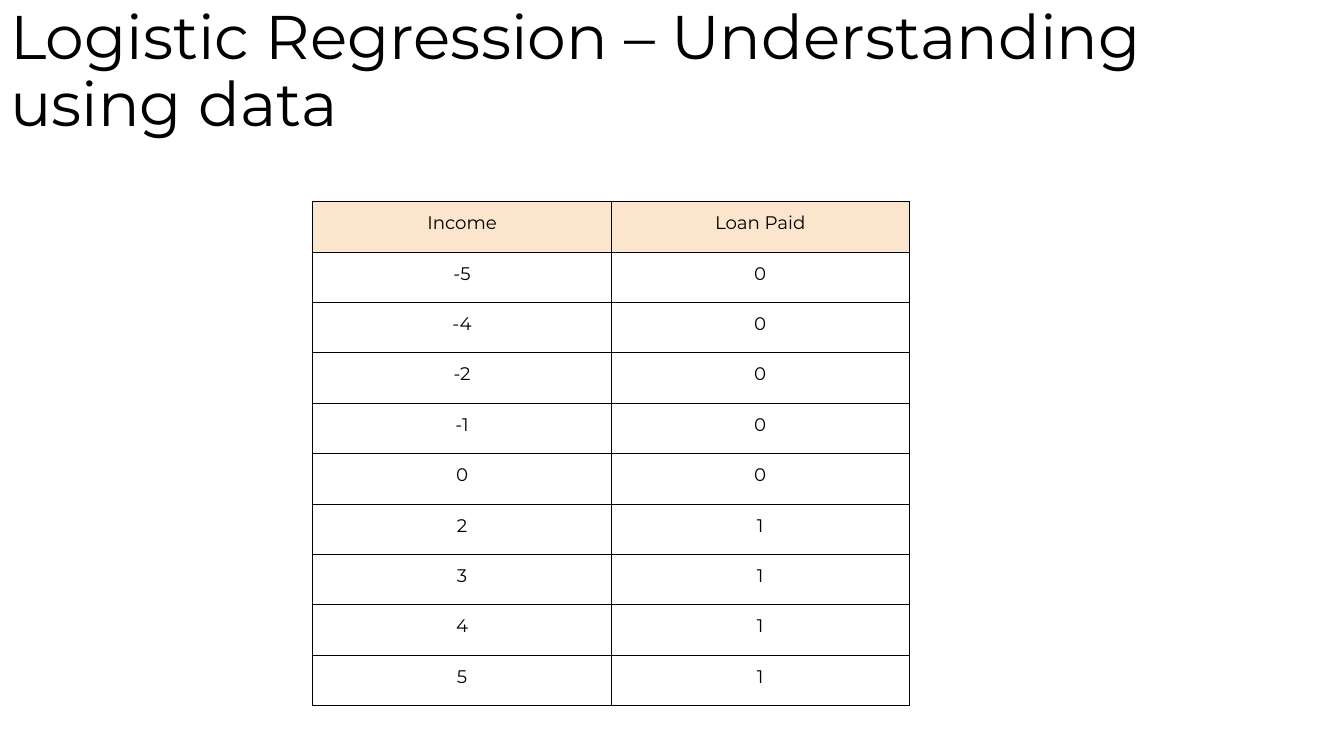
from lxml import etree
from pptx import Presentation, util as u
from pptx.dml.color import RGBColor
from pptx.enum import text
from pptx.oxml import ns

PX = 9525
FONT = "Montserrat"
COLORS = {"ink": "000000", "header": "FCE5CD"}
ROWS = [
    ("Income", "Loan Paid"),
    ("-5", "0"),
    ("-4", "0"),
    ("-2", "0"),
    ("-1", "0"),
    ("0", "0"),
    ("2", "1"),
    ("3", "1"),
    ("4", "1"),
    ("5", "1"),
]
COLUMN_WIDTH, ROW_HEIGHT, CELL_MARGIN = 284, 48, 10


def add_run(paragraph, words, size):
    run = paragraph.add_run()
    run.text = words
    run.font.name = FONT
    run.font.size = u.Pt(size)
    run.font.color.rgb = RGBColor.from_string(COLORS["ink"])


def add_borders(cell):
    properties = cell._tc.get_or_add_tcPr()
    for side in ("lnL", "lnR", "lnT", "lnB"):
        line = etree.SubElement(properties, ns.qn(f"a:{side}"), w=str(u.Pt(0.75)))
        fill = etree.SubElement(line, ns.qn("a:solidFill"))
        etree.SubElement(fill, ns.qn("a:srgbClr"), val=COLORS["ink"])


presentation = Presentation()
presentation.slide_width = 1280 * PX
presentation.slide_height = 720 * PX
slide = presentation.slides.add_slide(presentation.slide_layouts[5])

title = slide.shapes.title
title.left, title.top, title.width, title.height = 0, 0, 1264 * PX, 139 * PX
title.text_frame.word_wrap = True
title.text_frame.auto_size = text.MSO_AUTO_SIZE.NONE
title.text_frame.vertical_anchor = text.MSO_ANCHOR.MIDDLE
heading = title.text_frame.paragraphs[0]
heading.alignment = text.PP_ALIGN.LEFT
heading.line_spacing = 0.9
add_run(heading, "Logistic Regression – Understanding using data", 44)

column_count = len(ROWS[0])
table = slide.shapes.add_table(
    len(ROWS), column_count, 298 * PX, 192 * PX,
    column_count * COLUMN_WIDTH * PX, len(ROWS) * ROW_HEIGHT * PX,
).table
table.first_row = False
table.horz_banding = False

for row_index, values in enumerate(ROWS):
    for column_index, value in enumerate(values):
        cell = table.cell(row_index, column_index)
        cell.margin_left = cell.margin_right = CELL_MARGIN * PX
        cell.margin_top = cell.margin_bottom = CELL_MARGIN * PX
        add_borders(cell)
        if row_index == 0:
            cell.fill.solid()
            cell.fill.fore_color.rgb = RGBColor.from_string(COLORS["header"])
        else:
            cell.fill.background()
        paragraph = cell.text_frame.paragraphs[0]
        paragraph.alignment = text.PP_ALIGN.CENTER
        add_run(paragraph, value, 13)

presentation.save("out.pptx")
